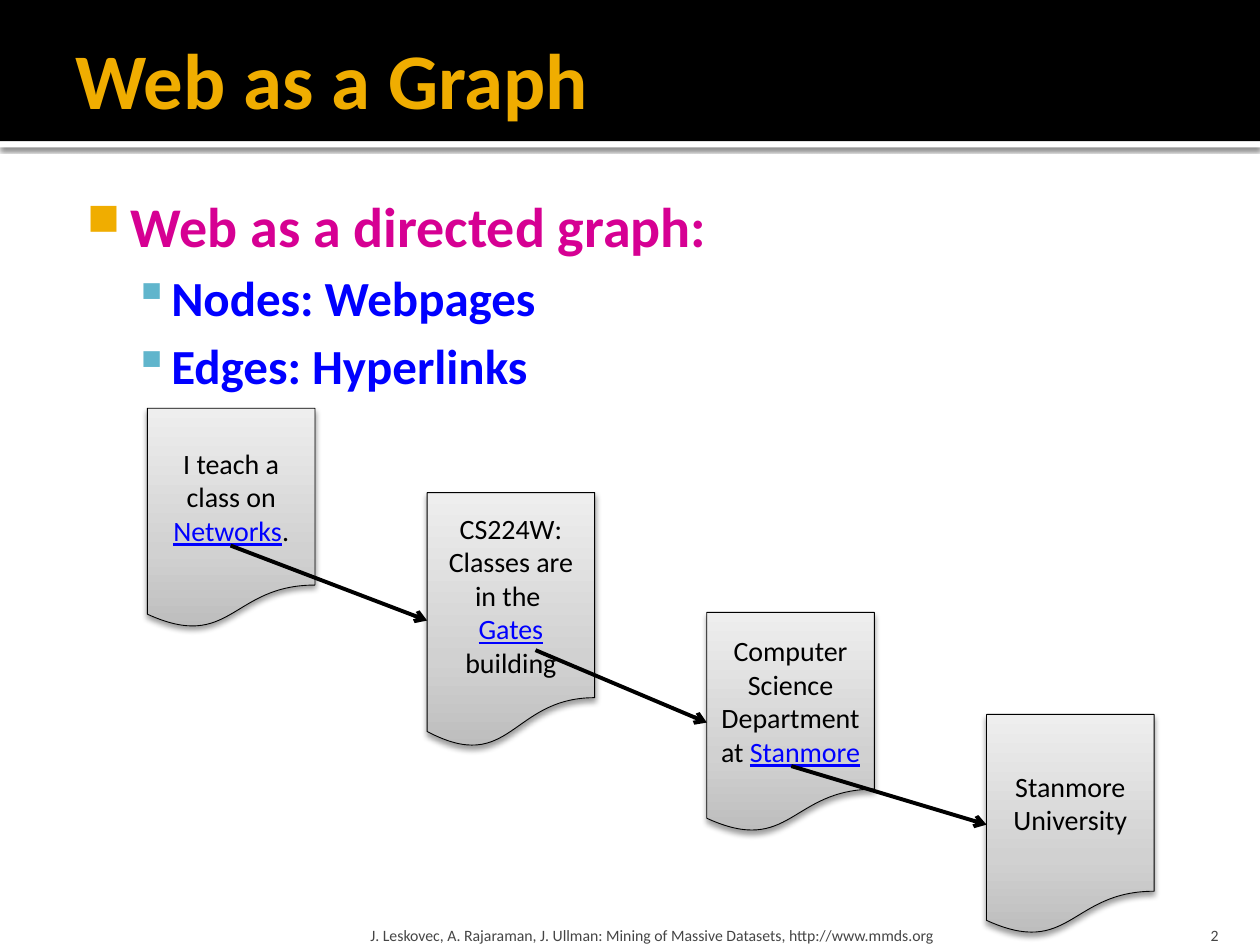
from dataclasses import dataclass

from lxml import etree
from pptx import Presentation
from pptx import oxml
from pptx import util as u
from pptx.dml import color
from pptx.enum import shapes, text
from pptx.oxml import ns

BLACK, WHITE, GOLD, BLUE, GREY = "000000", "FFFFFF", "F0AD00", "0000FF", "454545"
PAGE_WIDTH = 1.33
FIRST_LEFT, PAGE_STEP = 1.17, 2.22
PAGE_GRADIENT = ((0, "BDBDBD"), (35, "D1D1D1"), (100, "EEEEEE"))


@dataclass
class Run:
    words: str
    color: str = BLACK
    size: float = 16
    bold: bool = False
    underline: bool = False


@dataclass
class Bullet:
    symbol: str
    color: str
    margin: float
    indent: float
    percent: int = 100
    space: float = 0


@dataclass
class Line:
    runs: list[Run]
    align: text.PP_ALIGN = text.PP_ALIGN.LEFT
    bullet: Bullet | None = None


@dataclass
class Box:
    place: tuple[float, float, float, float]
    insets: tuple[float, float, float, float]
    anchor: text.MSO_ANCHOR
    lines: list[Line]


@dataclass
class Page:
    top: float
    height: float
    runs: list[Run]
    link: tuple[float, float] | None = None


def link_run(words: str) -> Run:
    return Run(words, BLUE, underline=True)


def rgb(value: str) -> color.RGBColor:
    return color.RGBColor.from_string(value)


def apply(target, values: dict) -> None:
    for name, value in values.items():
        setattr(target, name, value)


def drawing_xml(tag: str, attributes: str, inner: str = ""):
    return oxml.parse_xml(f'<a:{tag} {ns.nsdecls("a")} {attributes}>{inner}</a:{tag}>')


def add_bullet(paragraph, bullet: Bullet) -> None:
    paragraph.space_before = u.Pt(bullet.space)
    properties = paragraph._p.get_or_add_pPr()
    properties.set("marL", str(u.Inches(bullet.margin)))
    properties.set("indent", str(u.Inches(bullet.indent)))
    properties.append(drawing_xml("buClr", "", f'<a:srgbClr val="{bullet.color}"/>'))
    properties.append(drawing_xml("buSzPct", f'val="{bullet.percent * 1000}"'))
    properties.append(drawing_xml("buChar", f'char="{bullet.symbol}"'))


def write(frame, lines: list[Line], anchor: text.MSO_ANCHOR) -> None:
    apply(frame, {"word_wrap": True, "vertical_anchor": anchor})
    for index, line in enumerate(lines):
        paragraph = frame.add_paragraph() if index else frame.paragraphs[0]
        paragraph.alignment = line.align
        if line.bullet:
            add_bullet(paragraph, line.bullet)
        for item in line.runs:
            if item.words == "\n":
                paragraph.add_line_break()
                continue
            run = paragraph.add_run()
            run.text = item.words
            apply(run.font, {"name": "Calibri", "size": u.Pt(item.size),
                             "bold": item.bold, "underline": item.underline})
            run.font.color.rgb = rgb(item.color)


def add_shadow(shape, opacity: int, blur: float, distance: float) -> None:
    shape.shadow.inherit = False
    effects = shape._element.spPr.find(ns.qn("a:effectLst"))
    effects.append(drawing_xml(
        "outerShdw",
        f'blurRad="{u.Pt(blur)}" dist="{u.Pt(distance)}" dir="5400000" rotWithShape="0"',
        f'<a:srgbClr val="{BLACK}"><a:alpha val="{opacity * 1000}"/></a:srgbClr>'))


def add_band(slide, top: float, height: float, fill: str):
    band = slide.shapes.add_shape(shapes.MSO_SHAPE.RECTANGLE, u.Inches(0), u.Inches(top),
                                  u.Inches(10), u.Inches(height))
    band.fill.solid()
    band.fill.fore_color.rgb = rgb(fill)
    band.line.fill.background()
    band.shadow.inherit = False
    return band


def add_box(slide, box: Box) -> None:
    frame = slide.shapes.add_textbox(*map(u.Inches, box.place)).text_frame
    sides = ("margin_left", "margin_top", "margin_right", "margin_bottom")
    apply(frame, dict(zip(sides, map(u.Inches, box.insets))))
    write(frame, box.lines, box.anchor)


def add_page(slide, page: Page, left: float):
    shape = slide.shapes.add_shape(
        shapes.MSO_SHAPE.FLOWCHART_DOCUMENT,
        *map(u.Inches, (left, page.top, PAGE_WIDTH, page.height)))
    stops = "".join(f'<a:gs pos="{position * 1000}"><a:srgbClr val="{value}"/></a:gs>'
                    for position, value in PAGE_GRADIENT)
    shape._element.spPr.append(drawing_xml(
        "gradFill", 'rotWithShape="1"',
        f'<a:gsLst>{stops}</a:gsLst><a:lin ang="16200000" scaled="0"/>'))
    shape.line.color.rgb = rgb(BLACK)
    shape.line.width = u.Pt(0.5)
    add_shadow(shape, 38, 3.5, 2)
    write(shape.text_frame, [Line(page.runs, text.PP_ALIGN.CENTER)], text.MSO_ANCHOR.MIDDLE)
    return shape


def add_hyperlink_arrow(slide, start: tuple[float, float], target) -> None:
    begin = tuple(map(u.Inches, start))
    arrow = slide.shapes.add_connector(shapes.MSO_CONNECTOR.STRAIGHT, *begin, *begin)
    arrow.end_connect(target, 1)
    arrow.line.color.rgb = rgb(BLACK)
    arrow.line.width = u.Pt(2.25)
    etree.SubElement(arrow.line._get_or_add_ln(), ns.qn("a:tailEnd"), type="arrow")
    etree.SubElement(arrow._element.spPr, ns.qn("a:effectLst"))


SUB_BULLET = Bullet("▪", "60B5CC", 0.8, -0.3, space=5)
BOXES = [
    Box((0.5, 0.08, 9, 1.08), (0.1, 0.05, 0.05, 0.05), text.MSO_ANCHOR.MIDDLE,
        [Line([Run("Web as a Graph", GOLD, 45, True)])]),
    Box((0.5, 1.42, 9, 5.75), (0.06, 0.1, 0.1, 0.05), text.MSO_ANCHOR.TOP,
        [Line([Run("Web as a directed graph:", "D60093", 32, True)],
              bullet=Bullet("■", GOLD, 0.48, -0.35, 80)),
         Line([Run("Nodes: Webpages", BLUE, 28, True)], bullet=SUB_BULLET),
         Line([Run("Edges: Hyperlinks", BLUE, 28, True)], bullet=SUB_BULLET)]),
    Box((2.89, 7.2, 6.02, 0.3), (0.05, 0.05, 0.05, 0), text.MSO_ANCHOR.BOTTOM,
        [Line([Run("J. Leskovec, A. Rajaraman, J. Ullman: Mining of Massive Datasets, "
                   "http://www.mmds.org", GREY, 9)])]),
    Box((8.97, 7.2, 0.8, 0.3), (0.1, 0.05, 0.1, 0), text.MSO_ANCHOR.BOTTOM,
        [Line([Run("2", GREY, 9)], text.PP_ALIGN.RIGHT)]),
]
PAGES = [
    Page(3.24, 1.75, [Run("I teach a class on "), link_run("Networks"), Run(".")], (1.83, 4.33)),
    Page(3.91, 2.03, [Run("CS224W: Classes are in the "), Run("\n"), link_run("Gates"),
                      Run(" building")], (4.25, 5.16)),
    Page(4.86, 1.75, [Run("Computer Science Department at "), link_run("Stanmore")],
         (6.28, 6.08)),
    Page(5.67, 1.75, [Run("Stanmore University")]),
]


def main() -> None:
    presentation = Presentation()
    presentation.slide_width, presentation.slide_height = u.Inches(10), u.Inches(7.5)
    slide = presentation.slides.add_slide(presentation.slide_layouts[6])
    add_shadow(add_band(slide, 1.12, 0.05, WHITE), 60, 2.5, 0.8)
    add_band(slide, 0, 1.12, BLACK)
    for box in BOXES:
        add_box(slide, box)
    documents = [add_page(slide, page, FIRST_LEFT + index * PAGE_STEP)
                 for index, page in enumerate(PAGES)]
    for page, target in zip(PAGES, documents[1:]):
        add_hyperlink_arrow(slide, page.link, target)
    presentation.save("out.pptx")


if __name__ == "__main__":
    main()
